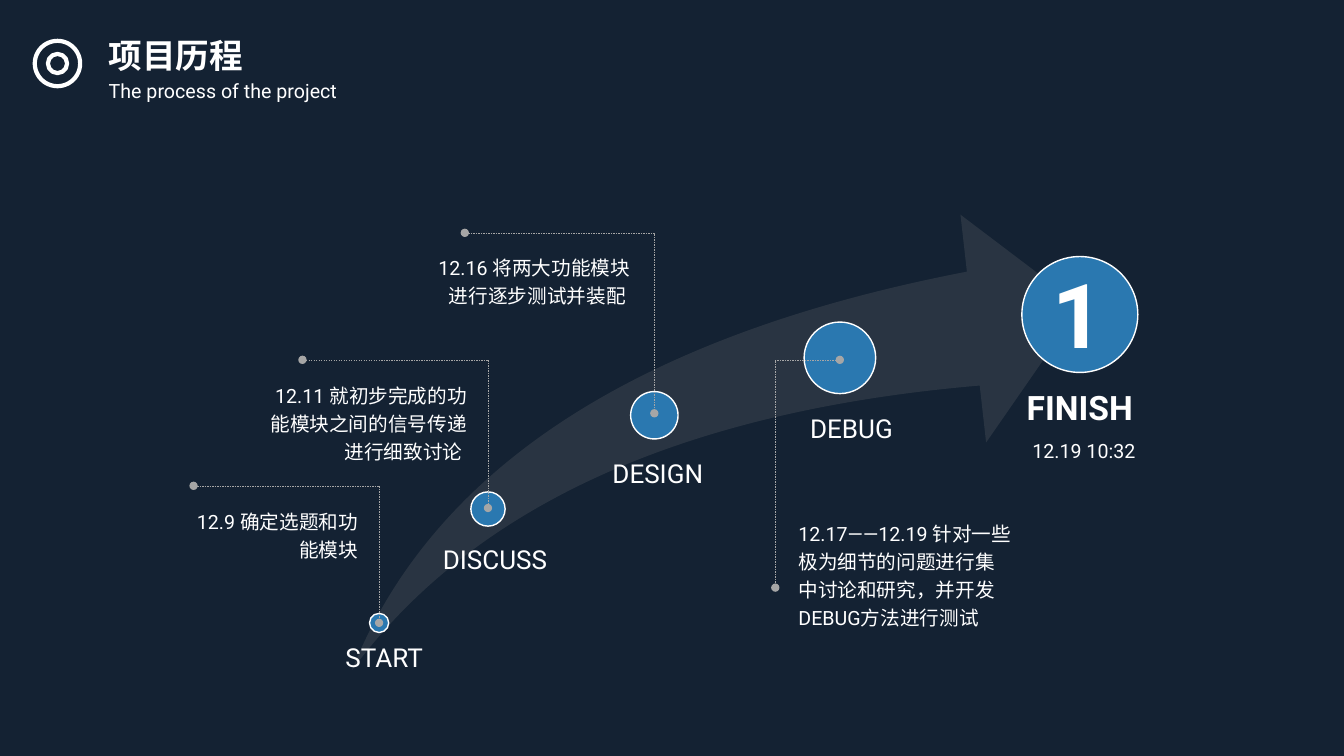
"""Build the project timeline slide."""
from dataclasses import dataclass

from lxml.etree import SubElement
from pptx import Presentation
from pptx.dml.color import RGBColor
from pptx.enum.dml import MSO_LINE
from pptx.enum.shapes import MSO_CONNECTOR, MSO_SHAPE
from pptx.enum.text import MSO_ANCHOR, PP_ALIGN
from pptx.oxml.ns import qn
from pptx.util import Inches, Pt


@dataclass(frozen=True)
class Theme:
    """Colours, font and type sizes of the slide."""
    back: RGBColor = RGBColor(0x14, 0x22, 0x33)
    blue: RGBColor = RGBColor(0x2A, 0x78, 0xB0)
    white: RGBColor = RGBColor(0xFF, 0xFF, 0xFF)
    swoosh: RGBColor = RGBColor(0x80, 0x80, 0x80)
    rule: RGBColor = RGBColor(0xA6, 0xA6, 0xA6)
    font: str = "Roboto"
    body: float = 14
    label: float = 18.6
    head: float = 24
    giant: float = 64


THEME = Theme()

STEPS = [
    ("START", (3.76, 6.18, 0.19), (2.92, 6.3, 1.68, 0.52), 0.1),
    ("DISCUSS", (4.84, 5.05, 0.34), (3.95, 5.33, 1.74, 0.61), 0.18),
    ("DESIGN", (6.49, 4.12, 0.47), (5.53, 4.48, 1.74, 0.73), 0.25),
    ("DEBUG", (8.33, 3.55, 0.71), (7.45, 4.03, 1.74, 0.73), 0.25),
]
RULES = [
    (1.92, 4.82, 3.76, 6.18),
    (3, 3.57, 4.84, 5.04),
    (4.61, 2.31, 6.49, 4.1),
    (8.33, 3.57, 7.69, 5.83),
]
NOTES = [
    ("12.9 确定选题和功能模块", (1.75, 4.96, 1.9, 0.66), PP_ALIGN.RIGHT),
    ("12.11 就初步完成的功能模块之间的信号传递进行细致讨论 ",
     (2.52, 3.71, 2.21, 0.95), PP_ALIGN.RIGHT),
    ("12.16 将两大功能模块进行逐步测试并装配 ",
     (4.11, 2.44, 2.24, 0.66), PP_ALIGN.RIGHT),
    ("12.17——12.19 针对一些极为细节的问题进行集中讨论和研究，并开发DEBUG方法进行测试",
     (7.82, 5.08, 2.32, 1.23), PP_ALIGN.LEFT),
    ("12.19 10:32", (10.14, 4.26, 2.32, 0.38), PP_ALIGN.LEFT),
]


def apply(item, values):
    """Set each named value on the item."""
    for name, value in values.items():
        setattr(item, name, value)


def add_text(slide, text, box, size, align=PP_ALIGN.LEFT, bold=False, pad=None):
    """Add wrapped text; pad is the left inset of a step label."""
    frame = slide.shapes.add_textbox(*map(Inches, box)).text_frame
    apply(frame, {"word_wrap": True, "vertical_anchor": MSO_ANCHOR.TOP})
    if pad is not None:
        apply(frame, {"margin_left": Inches(pad), "margin_right": 0,
                      "margin_top": 0, "margin_bottom": 0})
    para = frame.paragraphs[0]
    apply(para, {"alignment": align, "line_spacing": 1.2})
    run = para.add_run()
    run.text = text
    apply(run.font, {"name": THEME.font, "size": Pt(size), "bold": bold})
    run.font.color.rgb = THEME.white


def add_disc(slide, x, y, size, width=1, fill=None):
    """Add a white-edged circle centred on x and y."""
    box = (x - size / 2, y - size / 2, size, size)
    disc = slide.shapes.add_shape(MSO_SHAPE.OVAL, *map(Inches, box))
    disc.shadow.inherit = False
    if fill is None:
        disc.fill.background()
    else:
        disc.fill.solid()
        disc.fill.fore_color.rgb = fill
    disc.line.color.rgb = THEME.white
    disc.line.width = Pt(width)


def add_swoosh(slide):
    """Add the translucent rising arrow."""
    box = map(Inches, (3.49, 2.13, 7.23, 4.52))
    arrow = slide.shapes.add_shape(MSO_SHAPE.SWOOSH_ARROW, *box)
    arrow.shadow.inherit = False
    arrow.adjustments[0] = arrow.adjustments[1] = 0.25
    arrow.fill.solid()
    arrow.fill.fore_color.rgb = THEME.swoosh
    arrow.line.fill.background()
    color = arrow.fill.fore_color
    tint = next(arrow.element.spPr.iter(qn("a:srgbClr")))
    SubElement(tint, qn("a:alpha"), val="20000")


def add_rule(slide, ends):
    """Add a dashed line that runs across, then down, with dots at its ends."""
    rule = slide.shapes.add_connector(MSO_CONNECTOR.ELBOW, *map(Inches, ends))
    rule.line.color.rgb = THEME.rule
    apply(rule.line, {"width": Pt(0.25), "dash_style": MSO_LINE.DASH})
    props = rule.element.spPr
    guides = next(props.iter(qn("a:avLst")))
    SubElement(guides, qn("a:gd"), name="adj1", fmla="val 100000")
    stroke = props.find(qn("a:ln"))
    for end in ("a:headEnd", "a:tailEnd"):
        SubElement(stroke, qn(end), type="oval")
    SubElement(props, qn("a:effectLst"))


def add_header(slide):
    """Add the ring mark, title and subtitle."""
    for size in (0.45, 0.19):
        add_disc(slide, 0.57, 0.63, size, width=3)
    add_text(slide, "The process of the project", (0.98, 0.69, 7.85, 0.38),
             THEME.body)
    add_text(slide, "项目历程", (0.98, 0.22, 2.9, 0.58), THEME.head, bold=True)


def add_finish(slide):
    """Add the final milestone."""
    add_disc(slide, 10.71, 3.12, 1.15, fill=THEME.blue)
    add_text(slide, "FINISH", (9.5, 3.76, 2.17, 0.73), THEME.head,
             PP_ALIGN.CENTER, True, 0.25)
    add_text(slide, "1", (10.34, 2.31, 0.63, 1.39), THEME.giant, bold=True)


def main():
    """Build and save the slide."""
    deck = Presentation()
    apply(deck, {"slide_width": Inches(13.33), "slide_height": Inches(7.5)})
    slide = deck.slides.add_slide(deck.slide_layouts[6])
    slide.background.fill.solid()
    slide.background.fill.fore_color.rgb = THEME.back
    add_swoosh(slide)
    for name, disc, box, pad in STEPS:
        add_disc(slide, *disc, fill=THEME.blue)
        add_text(slide, name, box, THEME.label, PP_ALIGN.CENTER, pad=pad)
    for ends in RULES:
        add_rule(slide, ends)
    for text, box, align in NOTES:
        add_text(slide, text, box, THEME.body, align)
    add_finish(slide)
    add_header(slide)
    deck.save("out.pptx")


if __name__ == "__main__":
    main()
